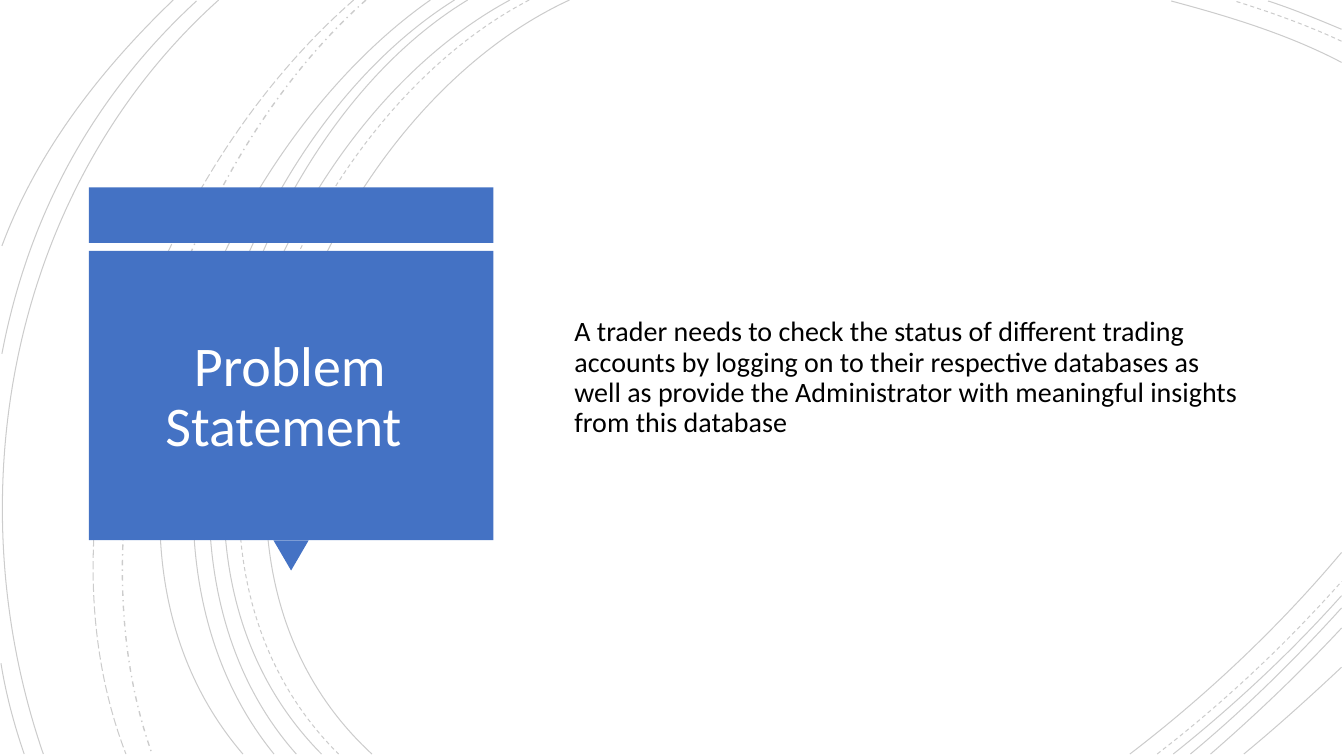
from collections import namedtuple

from lxml.etree import SubElement
from pptx import Presentation
from pptx.dml.color import RGBColor
from pptx.enum.dml import MSO_LINE
from pptx.enum.shapes import MSO_SHAPE
from pptx.enum.text import MSO_ANCHOR, PP_ALIGN
from pptx.oxml.ns import qn
from pptx.util import Pt

BLUE = RGBColor(0x44, 0x72, 0xC4)
WHITE = RGBColor(0xFF, 0xFF, 0xFF)
BLACK = RGBColor(0x00, 0x00, 0x00)
FONT = "Calibri"

Box = namedtuple("Box", "left top width height")

SOLID, DASH = MSO_LINE.SOLID, MSO_LINE.DASH
LONG_DASH, DASH_DOT = MSO_LINE.LONG_DASH, MSO_LINE.DASH_DOT

ARC_BOTTOM = 538.6
ARC_RIGHT = 958.3
ARC_TOP = 0.7

SWEEPS = [
    (406.8, (226.8, 82.8), (103, 388.8), 265.7, SOLID),
    (378, (205.2, 90), (88.6, 386.6), 241.9, DASH),
    (364.3, (194.4, 91.4), (79.2, 386.6), 229.7, SOLID),
    (334.1, (175.7, 95.8), (79.2, 389.5), 211.7, SOLID),
    (324.7, (166.3, 99.4), (69.8, 383.8), 195.8, SOLID),
    (307.4, (156.2, 105.8), (38.2, 380.9), 173.5, SOLID),
    (261.4, (126.7, 119.5), (46.8, 366.5), 108.7, DASH_DOT),
    (252.7, (113, 121.7), (20.9, 359.3), 90, LONG_DASH),
    (156.2, (7.9, 133.2), (-33.1, 352.8), 31, SOLID),
]
LOWER_RIGHT = [
    (807.1, (861.8, 496.8), (913.7, 447.8), 394.6, SOLID),
    (826.6, (873.4, 502.6), (918, 460.8), 415.4, DASH),
    (838.1, (880.6, 504.7), (921.6, 466.6), 425.5, SOLID),
    (850.3, (888.5, 506.9), (924.5, 471.6), 434.2, SOLID),
    (864.7, (897.1, 510.5), (928.8, 480.2), 448.6, SOLID),
    (888.5, (912.2, 519.1), (935.3, 498.2), 476.6, SOLID),
]
UPPER_RIGHT = [
    (44.6, (920.2, 24.5), (877, 11.5), 836.6, SOLID),
    (29.5, (933.8, 18), (907.2, 8.6), 882, DASH),
    (20.9, (941, 13.7), (923.8, 6.5), 905.8, SOLID),
]
LEFT_EDGE = [
    ((140.4, 0.7), (66.2, 69.1), (20.2, 154.1), (1.4, 252.7)),
    ((0.7, 473.8), (4.3, 496.1), (10.1, 517.7), (17.3, 538.6)),
    ((123.8, 0), (72, 49.7), (26.6, 108), (1.4, 175.7)),
]


def add_arc(page, box, points, dash=SOLID):
    corners = [(Pt(box.left + x), Pt(box.top + y)) for x, y in points]
    builder = page.shapes.build_freeform(*corners[0])
    builder.add_line_segments(corners[1:], close=False)
    arc = builder.convert_to_shape()
    arc.shadow.inherit = False
    arc.fill.background()
    arc.line.color.rgb = BLACK
    arc.line.width = Pt(1 if dash == DASH_DOT else 0.75)
    arc.line.dash_style = dash
    color = arc.line.fill._xPr.find(".//" + qn("a:srgbClr"))
    SubElement(color, qn("a:alpha"), val="20000")

    segments = list(arc.element.iter(qn("a:lnTo")))
    curve = SubElement(segments[0].getparent(), qn("a:cubicBezTo"))
    for segment in segments:
        curve.append(segment[0])
        segment.getparent().remove(segment)


def add_background(page, box):
    for start, first, second, end, dash in SWEEPS:
        add_arc(page, box, [(start, 0), first, second, (end, ARC_BOTTOM)], dash)
    for start, first, second, end, dash in LOWER_RIGHT:
        add_arc(page, box, [(start, ARC_BOTTOM), first, second, (ARC_RIGHT, end)], dash)
    for start, first, second, end, dash in UPPER_RIGHT:
        add_arc(page, box, [(ARC_RIGHT, start), first, second, (end, ARC_TOP)], dash)
    for points in LEFT_EDGE:
        add_arc(page, box, points)


def add_blue_shape(page, kind, box):
    shape = page.shapes.add_shape(kind, *map(Pt, box))
    shape.shadow.inherit = False
    shape.fill.solid()
    shape.fill.fore_color.rgb = BLUE
    shape.line.fill.background()
    return shape


def add_text(page, box, text, size, color, alignment, space_before=0):
    frame = page.shapes.add_textbox(*map(Pt, box)).text_frame
    frame.word_wrap = True
    frame.vertical_anchor = MSO_ANCHOR.MIDDLE
    para = frame.paragraphs[0]
    para.text = text
    para.alignment = alignment
    para.line_spacing = 0.9
    para.space_before = Pt(space_before)
    para.font.name = FONT
    para.font.size = Pt(size)
    para.font.color.rgb = color


def add_title_card(page, box):
    left, top, width, height = box
    band, gap, pointer_width, pointer_height = 39.6, 5.8, 25.2, 21.6
    panel_top = top + band + gap
    panel_height = height - band - gap - pointer_height
    panel = Box(left, panel_top, width, panel_height)
    pointer = Box(left + (width - pointer_width) / 2, panel_top + panel_height,
                  pointer_width, pointer_height)

    add_blue_shape(page, MSO_SHAPE.RECTANGLE, Box(left, top, width, band))
    add_blue_shape(page, MSO_SHAPE.ISOSCELES_TRIANGLE, pointer).rotation = 180
    add_blue_shape(page, MSO_SHAPE.RECTANGLE, panel)
    title = Box(left + 7.9, panel_top + 10.8, 271.4, 188.6)
    add_text(page, title, "Problem Statement ", 40, WHITE, PP_ALIGN.CENTER)


def add_statement(page, box):
    statement = (
        "A trader needs to check the status of different trading accounts by "
        "logging on to their respective databases as well as provide the "
        "Administrator with meaningful insights from this database"
    )
    add_text(page, box, statement, 20, BLACK, PP_ALIGN.LEFT, space_before=10)


def main():
    deck = Presentation()
    deck.slide_width, deck.slide_height = Pt(960), Pt(540)
    page = deck.slides.add_slide(deck.slide_layouts[6])
    add_background(page, Box(0, 0, 960, 540))
    add_title_card(page, Box(63.4, 133.9, 289, 273.6))
    add_statement(page, Box(403.2, 63.4, 494.6, 413.3))
    deck.save("out.pptx")


if __name__ == "__main__":
    main()
